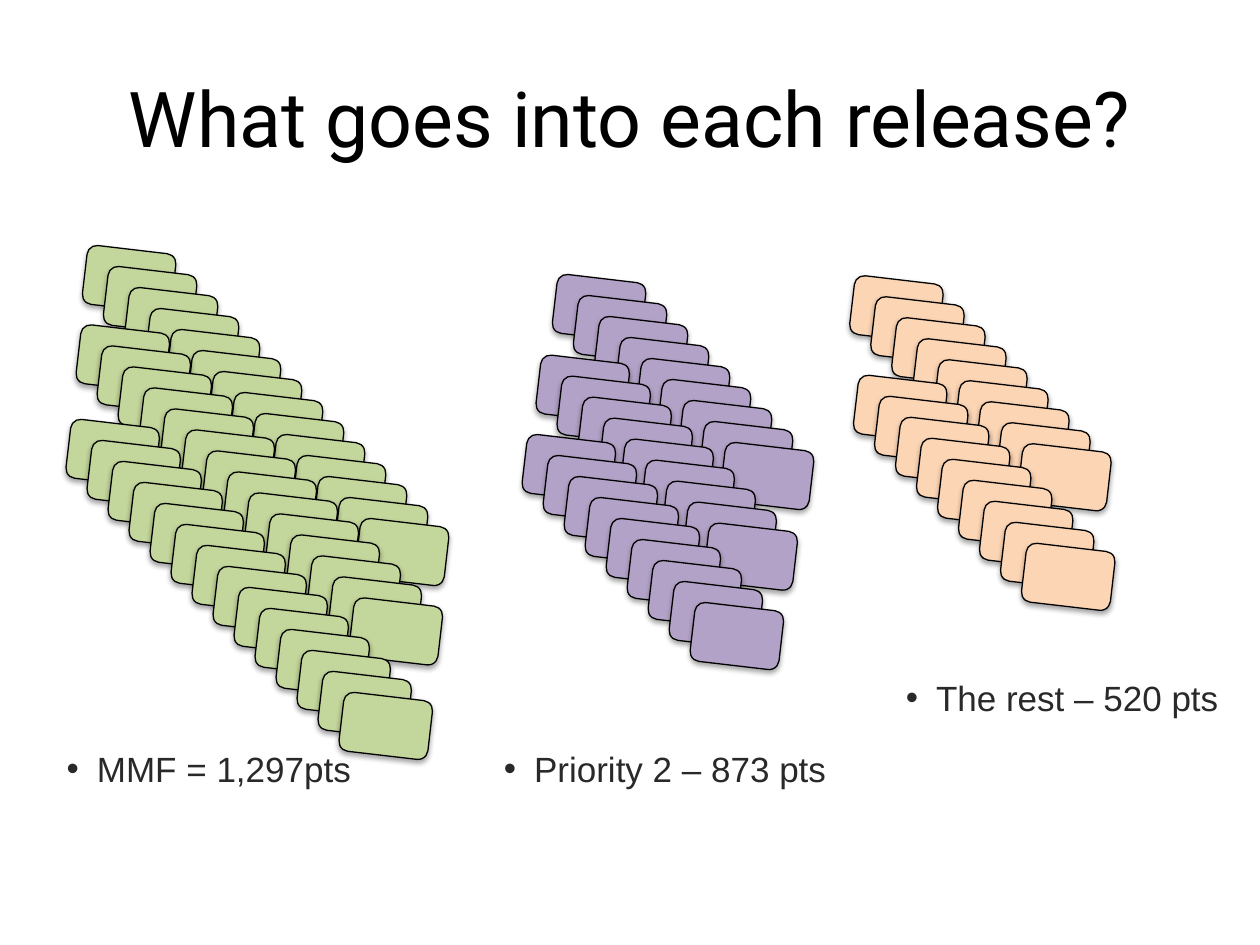
from dataclasses import dataclass

from lxml import etree
from pptx import Presentation
from pptx import util as u
from pptx.dml.color import RGBColor
from pptx.enum import shapes, text
from pptx.oxml import ns


@dataclass(frozen=True)
class Theme:
    green: str = "C3D69B"
    purple: str = "B3A2C7"
    peach: str = "FCD5B5"
    black: str = "000000"
    ink: str = "292929"
    head: str = "Roboto"
    body: str = "Arial"
    big: int = 44
    small: int = 20


THEME = Theme()
STEP = 1 / 6  # offset between cards, right and down

# Each release: colour, cards per row, top-left card of each row
PILES = [
    (THEME.green, 14, [(0.67, 1.98), (0.62, 2.61), (0.54, 3.36)]),
    (THEME.purple, 9, [(4.4, 2.21), (4.27, 2.85), (4.16, 3.48)]),
    (THEME.peach, 9, [(6.76, 2.22), (6.79, 3.01)]),
]

# Each label: words, left, top, width
LABELS = [
    ("MMF = 1,297pts", 0.43, 5.88, 3.39),
    ("Priority 2 – 873 pts", 3.9, 5.88, 2.76),
    ("The rest – 520 pts", 7.09, 5.32, 2.91),
]


def add_run(para, words, face, size, color):
    run = para.add_run()
    run.text = words
    run.font.name = face
    run.font.size = u.Pt(size)
    run.font.color.rgb = RGBColor.from_string(color)


def add_title(slide, words):
    title = slide.shapes.title
    title.left, title.top = u.Inches(0.5), u.Inches(0.3)
    title.width, title.height = u.Inches(9), u.Inches(1.25)
    frame = title.text_frame
    frame.vertical_anchor = text.MSO_ANCHOR.MIDDLE
    para = frame.paragraphs[0]
    para.alignment = text.PP_ALIGN.CENTER
    add_run(para, words, THEME.head, THEME.big, THEME.black)


def add_shadow(shape):
    shape.shadow.inherit = False
    effects = shape.element.spPr.find(ns.qn("a:effectLst"))
    shadow = etree.SubElement(
        effects, ns.qn("a:outerShdw"), blurRad=str(u.Pt(3.1)),
        dist=str(u.Pt(1.8)), dir="5400000", rotWithShape="0")
    color = etree.SubElement(shadow, ns.qn("a:srgbClr"), val=THEME.black)
    etree.SubElement(color, ns.qn("a:alpha"), val="35000")


def add_card(slide, left, top, color):
    card = slide.shapes.add_shape(
        shapes.MSO_SHAPE.ROUNDED_RECTANGLE, u.Inches(left), u.Inches(top),
        u.Inches(0.71), u.Inches(0.47))
    card.rotation = 6.7
    card.fill.solid()
    card.fill.fore_color.rgb = RGBColor.from_string(color)
    card.line.color.rgb = RGBColor.from_string(THEME.black)
    card.line.width = u.Pt(0.75)
    add_shadow(card)


def add_row(slide, left, top, count, color):
    for i in range(count):
        add_card(slide, left + i * STEP, top + i * STEP, color)


def add_label(slide, words, left, top, width):
    box = slide.shapes.add_textbox(
        u.Inches(left), u.Inches(top), u.Inches(width), u.Inches(0.44))
    frame = box.text_frame
    frame.word_wrap = True
    frame.auto_size = text.MSO_AUTO_SIZE.SHAPE_TO_FIT_TEXT
    para = frame.paragraphs[0]
    # Hanging bullet
    props = para._p.get_or_add_pPr()
    indent = u.Inches(0.24)
    props.set("marL", str(indent))
    props.set("indent", str(-indent))
    etree.SubElement(props, ns.qn("a:buFont"), typeface=THEME.body)
    etree.SubElement(props, ns.qn("a:buChar"), char="•")
    add_run(para, words, THEME.body, THEME.small, THEME.ink)


def main():
    deck = Presentation()
    deck.slide_width, deck.slide_height = u.Inches(10), u.Inches(7.5)
    slide = deck.slides.add_slide(deck.slide_layouts[5])
    add_title(slide, "What goes into each release?")

    # Piles of story cards
    for color, count, rows in PILES:
        for left, top in rows:
            add_row(slide, left, top, count, color)

    # Point totals
    for label in LABELS:
        add_label(slide, *label)

    deck.save("out.pptx")


if __name__ == "__main__":
    main()
